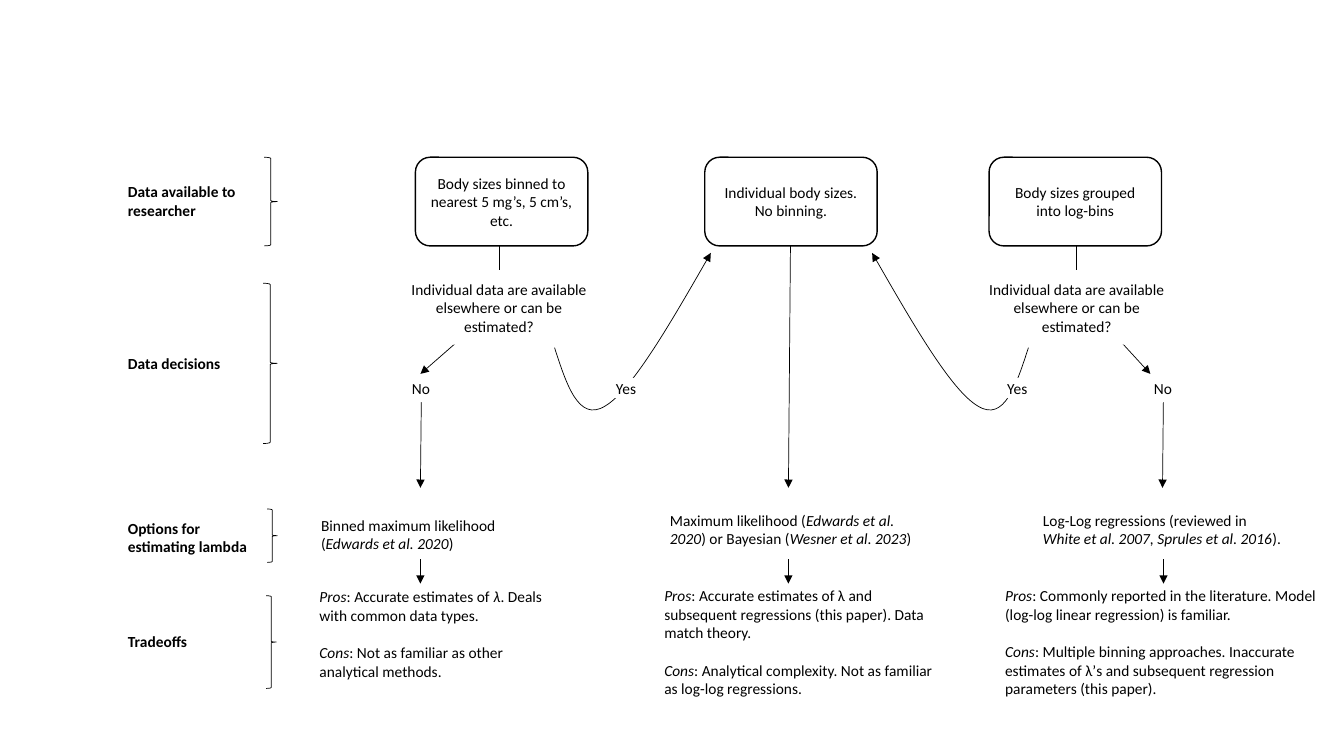
from lxml import etree
from pptx import Presentation
from pptx import util as u
from pptx.dml.color import RGBColor
from pptx.enum import shapes, text
from pptx.oxml.ns import qn

BLACK = RGBColor(0, 0, 0)
WHITE = RGBColor(255, 255, 255)
COLS, ROWS = 133.3, 75
ROUND = shapes.MSO_SHAPE.ROUNDED_RECTANGLE
BRACE = shapes.MSO_SHAPE.RIGHT_BRACE
LEFT, CENTER = text.PP_ALIGN.LEFT, text.PP_ALIGN.CENTER


class Chart:
    font, size, thin, thick = "Calibri", u.Pt(11), u.Pt(0.5), u.Pt(1)
    gap = u.Pt(13.4)

    def __init__(self, prs):
        self.cell_w = prs.slide_width / COLS
        self.cell_h = prs.slide_height / ROWS
        self.s = prs.slides.add_slide(prs.slide_layouts[6])

    def place(self, x, y):
        return round(x * self.cell_w), round(y * self.cell_h)

    def add_text(self, sp, paragraphs, align=LEFT, bold=False):
        tf = sp.text_frame
        tf.word_wrap = True
        for i, runs in enumerate(paragraphs):
            p = tf.paragraphs[0] if i == 0 else tf.add_paragraph()
            p.alignment = align
            if i:
                p.space_before = self.gap
            for j, words in enumerate(runs):
                if not words:
                    continue
                r = p.add_run()
                r.text = words
                r.font.name, r.font.size = self.font, self.size
                r.font.color.rgb = BLACK
                r.font.bold, r.font.italic = bold, j % 2 == 1

    def shape(self, kind, x, y, w, h, fill=None, line=None):
        sp = self.s.shapes.add_shape(kind, *self.place(x, y), *self.place(w, h))
        sp.shadow.inherit = False
        if fill is None:
            sp.fill.background()
        else:
            sp.fill.solid()
            sp.fill.fore_color.rgb = fill
        self.stroke(sp, line)
        return sp

    def stroke(self, sp, width, arrow=False):
        if width is None:
            sp.line.fill.background()
            return
        sp.line.color.rgb = BLACK
        sp.line.width = width
        if arrow:
            ln = sp._element.spPr.find(qn("a:ln"))
            etree.SubElement(ln, qn("a:tailEnd"), type="triangle")

    def box(self, x, y, w, h, runs, align=CENTER, fill=WHITE, line=None):
        sp = self.shape(ROUND, x, y, w, h, fill, line)
        sp.text_frame.vertical_anchor = text.MSO_ANCHOR.MIDDLE
        self.add_text(sp, [runs], align)

    def brace(self, x, y, w, h):
        self.shape(BRACE, x, y, w, h, line=self.thin)

    def label(self, x, y, w, h, paragraphs, bold=False):
        sp = self.s.shapes.add_textbox(*self.place(x, y), *self.place(w, h))
        self.add_text(sp, paragraphs, bold=bold)
        sp.text_frame.auto_size = text.MSO_AUTO_SIZE.SHAPE_TO_FIT_TEXT

    def line(self, x1, y1, x2, y2, arrow=True):
        c = self.s.shapes.add_connector(
            shapes.MSO_CONNECTOR.STRAIGHT, *self.place(x1, y1), *self.place(x2, y2))
        self.stroke(c, self.thin, arrow)
        etree.SubElement(c._element.spPr, qn("a:effectLst"))

    def curve(self, points, bottom):
        start, *rest = [self.place(*pt) for pt in points]
        builder = self.s.shapes.build_freeform(*start)
        builder.add_line_segments(rest, close=False)
        sp = builder.convert_to_shape()
        outline = next(sp._element.iter(qn("a:path")))
        steps = outline.findall(qn("a:lnTo"))
        for i in range(0, len(steps), 3):
            bezier = etree.SubElement(outline, qn("a:cubicBezTo"))
            for step in steps[i:i + 3]:
                bezier.append(step[0])
                outline.remove(step)
        sp.height = self.place(0, bottom)[1] - sp.top
        outline.set("h", str(sp.height))
        sp.shadow.inherit = False
        sp.fill.background()
        self.stroke(sp, self.thin, arrow=True)


prs = Presentation()
prs.slide_width, prs.slide_height = u.Inches(13.33), u.Inches(7.5)
s = Chart(prs)

STAGES = [
    ("Data available to researcher", 17.6, 18.8, 4.7, (26.2, 15.6, 1.3, 8.8)),
    ("Data decisions", 34.6, 18.8, 2.9, (26.1, 28.1, 1.4, 15.9)),
    ("Options for estimating lambda", 51, 14.7, 4.7, (26.5, 50.5, 1, 5.3)),
    ("Tradeoffs", 62.2, 18.8, 2.9, (26.4, 59.1, 1, 9.2)),
]
for name, y, w, h, brace in STAGES:
    s.label(11.7, y, w, h, [[name]], bold=True)
    s.brace(*brace)

DATA = [
    (41.2, "Body sizes binned to nearest 5 mg’s, 5 cm’s, etc."),
    (69.9, "Individual body sizes. No binning."),
    (98.1, "Body sizes grouped into log-bins"),
]
for x, words in DATA:
    s.box(x, 15.6, 17.1, 8.8, [words], fill=None, line=s.thick)

s.line(78.4, 24.4, 78.2, 48.4)

QUESTION = "Individual data are available elsewhere or can be estimated?"
YES_CURVE = [(102, 34.5), (100.8, 38.2), (99.6, 41.9), (97, 40.3),
             (94.4, 38.8), (90.4, 31.9), (86.5, 25.1)]
MIRROR = 157
BRANCHES = [
    (49.5, 38.5, 22, (48.1, 31.5, 41.7, 37.1), 39.4, 41.8,
     59.1, [(MIRROR - x, y) for x, y in YES_CURVE]),
    (106.8, 96, 21.6, (108.6, 31.1, 114.1, 37.1), 113, 115.4,
     97.9, YES_CURVE),
]
for stem, ask, ask_w, no_arrow, no, no_stem, yes, yes_curve in BRANCHES:
    s.line(no_stem, 38.5, no_stem - 0.1, 48.4)
    s.line(*no_arrow)
    s.line(stem, 24.4, stem, 26.8, arrow=False)
    s.box(ask, 26.8, ask_w, 7.4, [QUESTION])
    s.box(no, 37.1, 4.7, 2.8, ["No"])
    s.curve(yes_curve, 40.7)
    s.box(yes, 37.5, 6, 2, ["Yes"])

OPTIONS = [
    (30.5, 49.3, 22, ["Binned maximum likelihood (", "Edwards et al. 2020", ")"]),
    (65.1, 48.8, 27.1, ["Maximum likelihood (", "Edwards et al. 2020",
                        ") or Bayesian (", "Wesner et al. 2023", ")"]),
    (102.1, 48.8, 26.6, ["Log-Log regressions (reviewed in ",
                         "White et al. 2007, Sprules et al. 2016", ")."]),
]
for x, y, w, runs in OPTIONS:
    s.box(x, y, w, 7.4, runs, align=LEFT)

TRADEOFFS = [
    (30.7, 57.8, 25, 10.3,
     [": Accurate estimates of ", "λ", ". Deals with common data types."],
     ": Not as familiar as other analytical methods. "),
    (64.9, 57.7, 29.3, 12.1,
     [": Accurate estimates of λ and subsequent regressions (this paper). "
      "Data match theory."],
     ": Analytical complexity. Not as familiar as log-log regressions."),
    (98.7, 57.7, 33.5, 12.1,
     [": Commonly reported in the literature. Model (log-log linear regression) "
      "is familiar."],
     ": Multiple binning approaches. Inaccurate estimates of λ’s and subsequent "
     "regression parameters (this paper)."),
]
for x, y, w, h, pros, cons in TRADEOFFS:
    s.label(x, y, w, h, [["", "Pros", *pros], ["", "Cons", cons]])

for x in (41.7, 78.2, 115.4):
    s.line(x, 55.5, x, 57.9)

prs.save("out.pptx")
